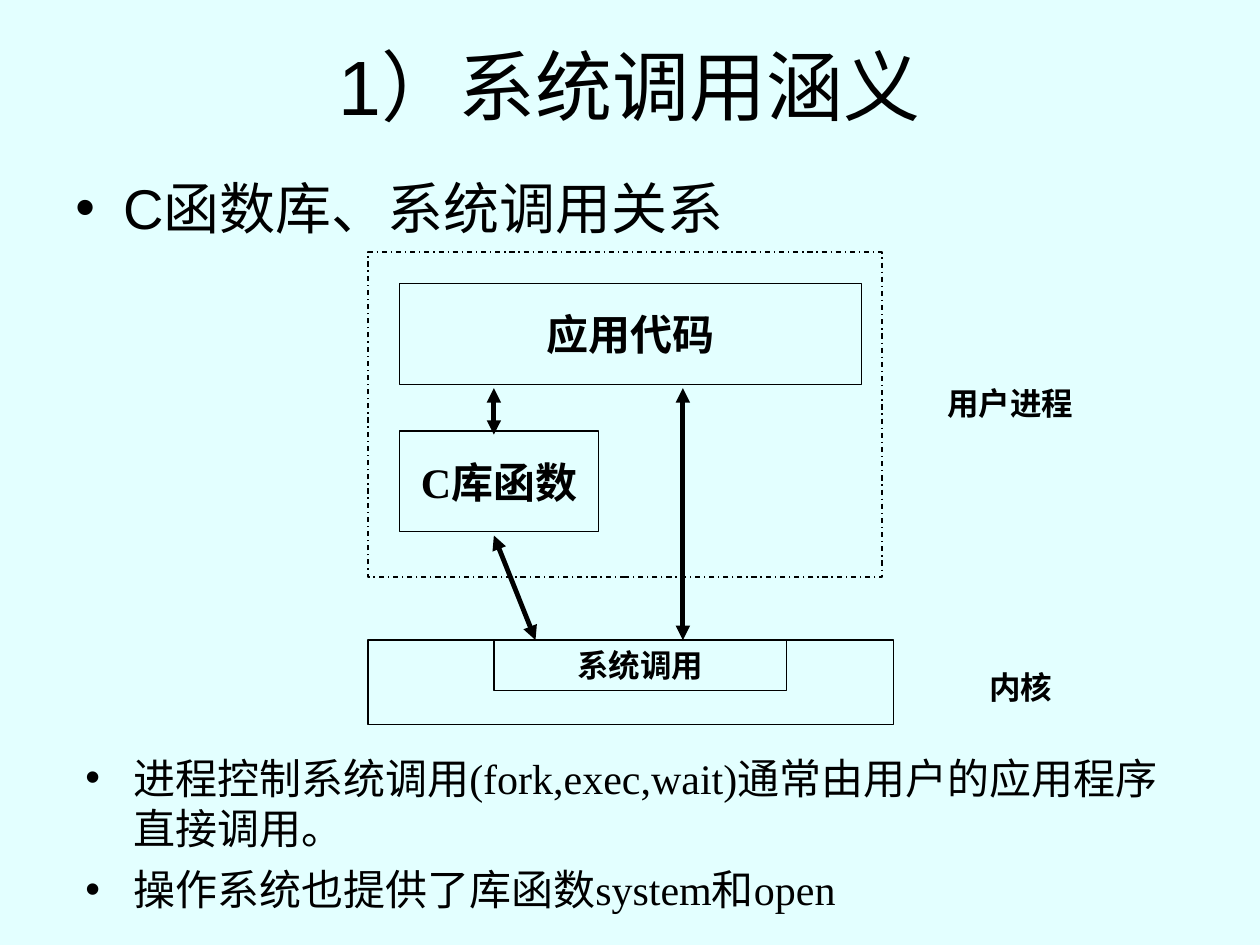
"""Build a slide on how the C library relates to system calls."""
from dataclasses import dataclass
from typing import Optional

from lxml.etree import SubElement
from pptx import Presentation
from pptx.dml.color import RGBColor
from pptx.enum.dml import MSO_LINE_DASH_STYLE as Dash
from pptx.enum.shapes import MSO_CONNECTOR_TYPE as Link, MSO_SHAPE as Kind
from pptx.enum.text import MSO_ANCHOR as Anchor, MSO_AUTO_SIZE as Fit, PP_ALIGN as Align
from pptx.oxml.ns import qn
from pptx.util import Inches, Pt

INK, PAPER = "000000", "E3FFFF"
SANS, SERIF = "Arial", "Times New Roman"


@dataclass
class Box:
    left: float
    top: float
    width: float
    height: float
    text: str = ""
    size: int = 24
    dash: Optional[Dash] = None


@dataclass
class Arrow:
    x1: float
    y1: float
    x2: float
    y2: float


@dataclass
class Block:
    left: float
    top: float
    width: float
    height: float
    lines: list[str]
    size: int
    font: str = SERIF
    bold: bool = False
    bullet: bool = False
    wrap: bool = True


BOXES = [
    Box(3.92, 5.08, 2.32, 0.4, "系统调用", 18),
    Box(3.17, 2.25, 3.67, 0.8, "应用代码"),
    Box(3.17, 3.42, 1.58, 0.8, "C库函数"),
    Box(2.92, 5.08, 4.17, 0.67),
    Box(2.92, 2, 4.08, 2.58, dash=Dash.DASH_DOT),
]
ARROWS = [
    Arrow(3.92, 4.25, 4.25, 5.08),
    Arrow(3.92, 3.08, 3.92, 3.45),
    Arrow(5.42, 3.08, 5.42, 5.08),
]
BLOCKS = [
    Block(0.5, 0.05, 9, 1.25, ["1）系统调用涵义"], 44, SANS),
    Block(0.5, 1.33, 9, 0.83, ["C函数库、系统调用关系"], 32, SANS, bullet=True),
    Block(7.42, 3, 1.2, 0.4, ["用户进程"], 18, bold=True, wrap=False),
    Block(7.75, 5.25, 0.7, 0.4, ["内核"], 18, bold=True, wrap=False),
    Block(0.58, 5.92, 9, 1.5, [
        "进程控制系统调用(fork,exec,wait)通常由用户的应用程序直接调用。",
        "操作系统也提供了库函数system和open",
    ], 24, bullet=True),
]


def paint(target, tone: str) -> None:
    """Give a font, fill or line colour format its hex colour."""
    target.rgb = RGBColor.from_string(tone)


def put(target, values: dict) -> None:
    """Set each named attribute on a target."""
    for name, value in values.items():
        setattr(target, name, value)


def place(item: Box | Block) -> list:
    """Return the left, top, width and height as lengths."""
    return [Inches(n) for n in (item.left, item.top, item.width, item.height)]


def dot(para) -> None:
    """Give a paragraph a round bullet with a hanging indent."""
    props = para._p.get_or_add_pPr()
    props.set("marL", str(Inches(0.38)))
    props.set("indent", str(Inches(-0.38)))
    tone = SubElement(props, qn("a:buClr"))
    SubElement(tone, qn("a:srgbClr"), val=INK)
    SubElement(props, qn("a:buFont"), typeface=SANS)
    SubElement(props, qn("a:buChar"), char="•")


def write(para, text: str, size: int, font: str, bold: bool) -> None:
    """Add one styled run to a paragraph."""
    run = para.add_run()
    run.text = text
    put(run.font, {"size": Pt(size), "name": font, "bold": bold})
    paint(run.font.color, INK)


def draw_box(slide, box: Box) -> None:
    """Draw an outlined box with a bold centred label."""
    shape = slide.shapes.add_shape(Kind.RECTANGLE, *place(box))
    shape.shadow.inherit = False
    shape.fill.background()
    paint(shape.line.color, INK)
    put(shape.line, {"width": Pt(0.75), "dash_style": box.dash})
    if box.text:
        frame = shape.text_frame
        put(frame, {"word_wrap": True, "vertical_anchor": Anchor.MIDDLE})
        para = frame.paragraphs[0]
        para.alignment = Align.CENTER
        write(para, box.text, box.size, SERIF, True)


def draw_arrow(slide, arrow: Arrow) -> None:
    """Draw a thick line with a head at both ends."""
    ends = [Inches(n) for n in (arrow.x1, arrow.y1, arrow.x2, arrow.y2)]
    link = slide.shapes.add_connector(Link.STRAIGHT, *ends)
    link.line.width = Pt(2.75)
    paint(link.line.color, INK)
    edge = link.line._get_or_add_ln()
    for tag in ("a:headEnd", "a:tailEnd"):
        SubElement(edge, qn(tag), type="triangle")
    SubElement(link._element.spPr, qn("a:effectLst"))


def draw_block(slide, block: Block) -> None:
    """Draw a text box, either bulleted or centred."""
    frame = slide.shapes.add_textbox(*place(block)).text_frame
    put(frame, {
        "word_wrap": block.wrap,
        "auto_size": Fit.NONE if block.wrap else Fit.SHAPE_TO_FIT_TEXT,
        "vertical_anchor": Anchor.TOP if block.bullet else Anchor.MIDDLE,
    })
    for n, text in enumerate(block.lines):
        para = frame.add_paragraph() if n else frame.paragraphs[0]
        if block.bullet:
            dot(para)
        else:
            para.alignment = Align.CENTER
        if n:
            para.space_before = Pt(6)
        write(para, text, block.size, block.font, block.bold)


def main() -> None:
    """Build and save the slide."""
    deck = Presentation()
    put(deck, {"slide_width": Inches(10), "slide_height": Inches(7.5)})
    slide = deck.slides.add_slide(deck.slide_layouts[6])
    back = slide.background.fill
    back.solid()
    paint(back.fore_color, PAPER)
    for items, draw in ((BOXES, draw_box), (ARROWS, draw_arrow), (BLOCKS, draw_block)):
        for item in items:
            draw(slide, item)
    deck.save("out.pptx")


if __name__ == "__main__":
    main()
